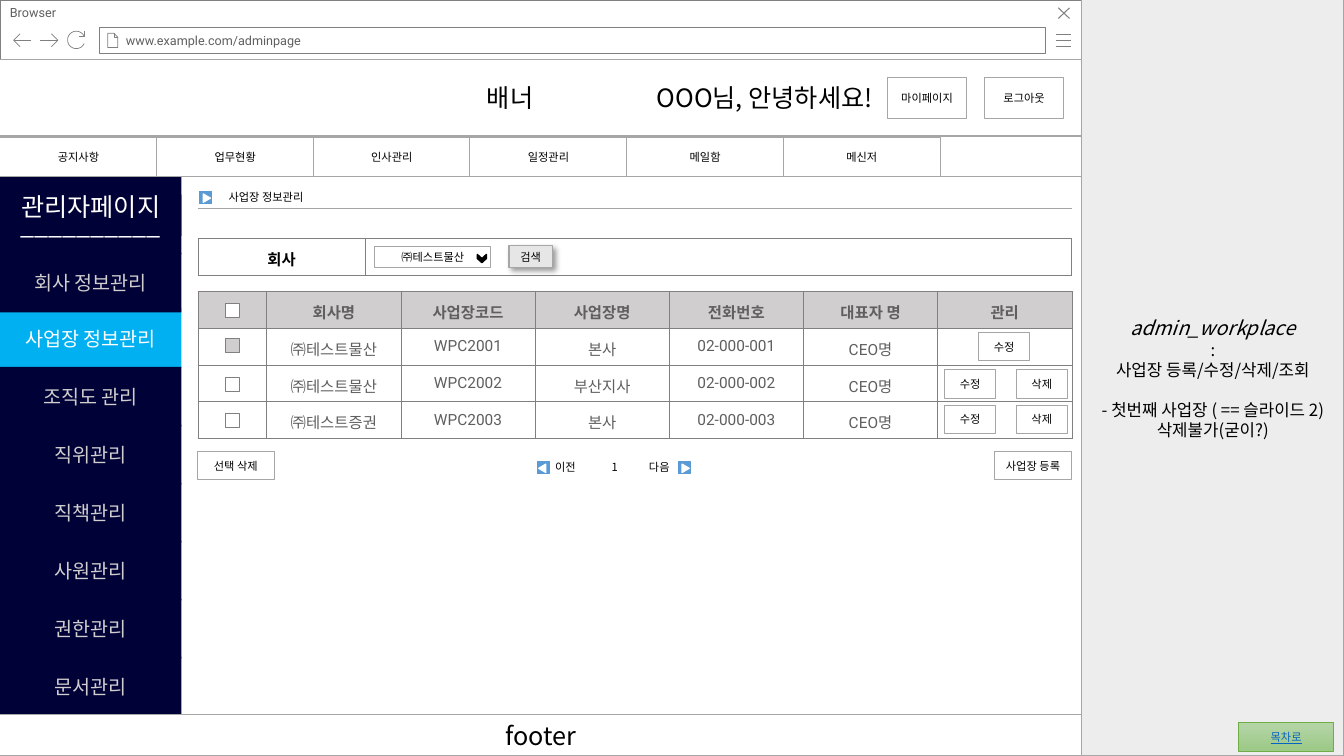
import math
import lxml.etree
import pptx
import pptx.dml.color
import pptx.enum.dml
import pptx.enum.shapes
import pptx.enum.text
import pptx.oxml
import pptx.oxml.ns
import pptx.util

Pt = pptx.util.Pt
hue = pptx.dml.color.RGBColor.from_string
qn = pptx.oxml.ns.qn
kind = pptx.enum.shapes.MSO_SHAPE
side = pptx.enum.text.PP_ALIGN
mid = pptx.enum.text.MSO_ANCHOR.MIDDLE
NOTO = "Noto Sans CJK KR"
NS = 'xmlns:a="http://schemas.openxmlformats.org/drawingml/2006/main"'
GRAY = "808080"
EDGE = "A6A6A6"
NAVY = "000136"
BLUE = "5B9BD5"
WIDE = 772.6


def add_text(para, text, size, color="000000", font=NOTO, align=side.CENTER):
    para.alignment = align
    run = para.add_run()
    run.text = text
    run.font.size = Pt(size)
    run.font.name = font
    run.font.color.rgb = hue(color)
    east = lxml.etree.SubElement(run._r.get_or_add_rPr(), qn("a:ea"))
    east.set("typeface", NOTO)
    return run


def add_box(left, top, wide, high, text="", size=8, color="000000", fill="FFFFFF",
            line=EDGE, thick=0.75, form=kind.RECTANGLE, pad=0, align=side.CENTER, font=NOTO):
    box = deck.add_shape(form, Pt(left), Pt(top), Pt(wide), Pt(high))
    box.shadow.inherit = False
    box.fill.solid()
    box.fill.fore_color.rgb = hue(fill)
    if line:
        box.line.color.rgb = hue(line)
        box.line.width = Pt(thick)
    else:
        box.line.fill.background()
    frame = box.text_frame
    frame.word_wrap = True
    frame.vertical_anchor = mid
    frame.margin_left = frame.margin_right = Pt(pad)
    if text:
        add_text(frame.paragraphs[0], text, size, color, font, align)
    return box


show = pptx.Presentation()
show.slide_width = Pt(960)
show.slide_height = Pt(540)
slide = show.slides.add_slide(show.slide_layouts[6])
deck = slide.shapes

add_box(0, 42.5, WIDE, 497.5, line=GRAY, thick=0.5)
head = add_box(0, 0, WIDE, 42.5, "Browser", 9, "5F5F5F", line=GRAY, thick=0.5,
               pad=7.2, align=side.LEFT, font="Roboto")
head.text_frame.vertical_anchor = pptx.enum.text.MSO_ANCHOR.TOP
add_box(71.3, 19.4, 675.4, 18.7, "www.example.com/adminpage", 9, "5F5F5F", line=GRAY,
        thick=0.5, pad=18.7, align=side.LEFT, font="Roboto")

arc = [(54.5 + 6.2 * math.cos(math.radians(turn)), 28.5 + 6.2 * math.sin(math.radians(turn)))
       for turn in range(25, 336, 10)]
icons = [
    ([[(754, y), (765.4, y)] for y in (24.5, 28.8, 33.1)], 0.5),
    ([[(764, 5.6), (756, 13.2)], [(756, 5.6), (764, 13.2)]], 0.75),
    ([[(81.4, 23.8), (81.4, 26.6), (84.2, 26.6)],
      [(77, 23.8), (77, 34), (84.2, 34), (84.2, 26.6), (81.4, 23.8), (77, 23.8)]], 0.5),
    ([[(14.4, 33.4), (9.8, 28.8), (14.4, 24.1)], [(9.8, 28.8), (21.9, 28.8)]], 0.5),
    ([[(36.7, 24.1), (41.3, 28.8), (36.7, 33.4)], [(41.3, 28.8), (28.8, 28.8)]], 0.5),
    ([[(60.5, 22.3), (60.5, 25.9), (56.2, 25.9)], arc], 0.5),
]
for strokes, thick in icons:
    pen = deck.build_freeform(Pt(strokes[0][0][0]), Pt(strokes[0][0][1]))
    for count, stroke in enumerate(strokes):
        dots = [(Pt(x), Pt(y)) for x, y in stroke]
        if count:
            pen.move_to(*dots[0])
        pen.add_line_segments(dots[1:], close=False)
    icon = pen.convert_to_shape()
    icon.shadow.inherit = False
    icon.fill.background()
    icon.line.color.rgb = hue(GRAY)
    icon.line.width = Pt(thick)

add_box(0, 97.2, WIDE, 28.8)
note = add_box(WIDE, 0, 960 - WIDE, 540, "admin_workplace", 14, fill="EDEDED", pad=7.2).text_frame
note.paragraphs[0].runs[0].font.italic = True
for text in (":", "사업장 등록/수정/삭제/조회", "- 첫번째 사업장 ( == 슬라이드 2) 삭제불가(굳이?)"):
    para = note.add_paragraph()
    add_text(para, text, 12)
para.space_before = Pt(14.4)

add_box(0, 139, 129.6, 42.5, "__________", 18, "FFFFFF", NAVY, None)
add_box(0, 126, 129.6, 42.5, "관리자페이지", 18, "FFFFFF", NAVY, None)
add_box(0, 220.3, 129.6, 42.5, "사업장 정보관리", 14, "FFFFFF", "00B0F0", None)
add_box(0, 180.7, 129.6, 42.5, "회사 정보관리", 14, "D0CECE", NAVY, None)
for row, text in enumerate(("조직도 관리", "직위관리", "직책관리", "사원관리", "권한관리", "문서관리")):
    add_box(0, 262 + 41.45 * row, 129.6, 42.5, text, 14, "D0CECE", NAVY, None)
add_box(0, 510.5, WIDE, 29.5, "footer", 18)

banner = add_box(0, 42.5, WIDE, 54.7, "\t배너\tOOO님, 안녕하세요!", 18, pad=7.2, align=side.LEFT)
stops = lxml.etree.SubElement(banner.text_frame.paragraphs[0]._p.get_or_add_pPr(), qn("a:tabLst"))
for stop in (340.7, 462):
    lxml.etree.SubElement(stops, qn("a:tab"), pos=str(Pt(stop)), algn="l")
add_box(634, 55.4, 56.5, 29, "마이페이지")
add_box(703.3, 55.4, 56.5, 29, "로그아웃")
for col, text in enumerate(("공지사항", "업무현황", "인사관리", "일정관리", "메일함", "메신저")):
    add_box(111.9 * col, 97.9, 112.3, 28.1, text)

for left, top, shift, turn in ((142.6, 136.8, 2.2, 90), (383.8, 329.8, 0.7, 270),
                               (484.6, 329.8, 2.2, 90)):
    add_box(left, top, 8.6, 8.6, fill=BLUE, line=BLUE, thick=1)
    tip = add_box(left + shift, top + 2.2, 5.8, 5, line="FFFFFF", thick=1,
                  form=kind.ISOSCELES_TRIANGLE)
    tip.rotation = turn
for left, top, wide, text in ((156.2, 132.5, 266, "사업장 정보관리"), (389.5, 325.4, 36, "이전"),
                              (456.5, 325.4, 36, "다음"), (429.8, 325.4, 36, "1")):
    frame = deck.add_textbox(Pt(left), Pt(top), Pt(wide), Pt(17.3)).text_frame
    frame.word_wrap = True
    add_text(frame.paragraphs[0], text, 8, align=side.LEFT)
rule = deck.add_connector(pptx.enum.shapes.MSO_CONNECTOR.STRAIGHT,
                          Pt(141.4), Pt(148.6), Pt(766), Pt(148.6))
rule.line.color.rgb = hue("A5A5A5")
rule.line.width = Pt(0.5)
lxml.etree.SubElement(rule._element.spPr, qn("a:effectLst"))

sites = [
    ("", "회사명", "사업장코드", "사업장명", "전화번호", "대표자 명", "관리"),
    ("", "㈜테스트물산", "WPC2001", "본사", "02-000-001", "CEO명", ""),
    ("", "㈜테스트물산", "WPC2002", "부산지사", "02-000-002", "CEO명", ""),
    ("", "㈜테스트증권", "WPC2003", "본사", "02-000-003", "CEO명", ""),
]
grids = [(208.3, [49.2] + [95.84] * 6, sites, "5F5F5F", "Roboto", "D0CECE"),
         (170.1, [119.5, 504.7], [("회사", "")], "000000", NOTO, None)]
for top, cols, rows, color, font, shade in grids:
    table = deck.add_table(len(rows), len(cols), Pt(141.4), Pt(top), Pt(sum(cols)),
                           Pt(26.1 * len(rows))).table
    table.first_row = table.horz_banding = False
    for col, wide in enumerate(cols):
        table.columns[col].width = Pt(wide)
    for row, texts in enumerate(rows):
        table.rows[row].height = Pt(26.1)
        for col, text in enumerate(texts):
            cell = table.cell(row, col)
            cell.vertical_anchor = mid
            cell.margin_left = cell.margin_right = Pt(6.5)
            cell.margin_top = cell.margin_bottom = Pt(6.5 if text else 0)
            if text:
                run = add_text(cell.text_frame.paragraphs[0], text, 11, color, font)
                run.font.bold = row == 0
            if shade and row == 0:
                cell.fill.solid()
                cell.fill.fore_color.rgb = hue(shade)
            else:
                cell.fill.background()
            for spot, edge in enumerate(("lnL", "lnR", "lnT", "lnB")):
                cell._tc.get_or_add_tcPr().insert(spot, pptx.oxml.parse_xml(
                    f'<a:{edge} {NS} w="6350"><a:solidFill><a:srgbClr val="{GRAY}"/>'
                    f'</a:solidFill></a:{edge}>'))

add_box(267.8, 176.4, 82.8, 14.4, "㈜테스트물산")
arrow = add_box(341.3, 181.4, 5.8, 6.5, fill="000000", line="000000", thick=1, form=kind.CHEVRON)
arrow.rotation = 90
find = add_box(363.6, 175.7, 31, 15.1, "검색", fill="E7E6E6")
find._element.spPr.find(qn("a:effectLst")).append(pptx.oxml.parse_xml(
    f'<a:outerShdw {NS} blurRad="50800" dist="38100" dir="2700000" algn="tl">'
    '<a:srgbClr val="000000"><a:alpha val="40000"/></a:srgbClr></a:outerShdw>'))

for top, fill in ((216.7, "FFFFFF"), (241.9, "D0CECE"), (269.3, "FFFFFF"), (295.2, "FFFFFF")):
    add_box(161.3, top, 10.1, 10.1, fill=fill, line=GRAY, thick=0.5)
add_box(699, 237.6, 36.7, 20.2, "수정")
for top in (264.2, 289.4):
    add_box(674.6, top, 36.7, 20.2, "수정")
    add_box(725.8, top, 36.7, 20.2, "삭제")
add_box(141.1, 322.6, 54.7, 20.2, "선택 삭제")
add_box(710.6, 322.6, 54.7, 20.2, "사업장 등록")

index = add_box(884.9, 516.2, 67.7, 20.2, "목차로", color="0563C1", line="70AD47", thick=0.5)
index.text_frame.paragraphs[0].runs[0].font.underline = True
index.fill.gradient()
index.fill.gradient_angle = 270
for stop, color in zip(index.fill.gradient_stops, ("B5D5A7", "9CC987")):
    stop.color.rgb = hue(color)

show.save("out.pptx")
